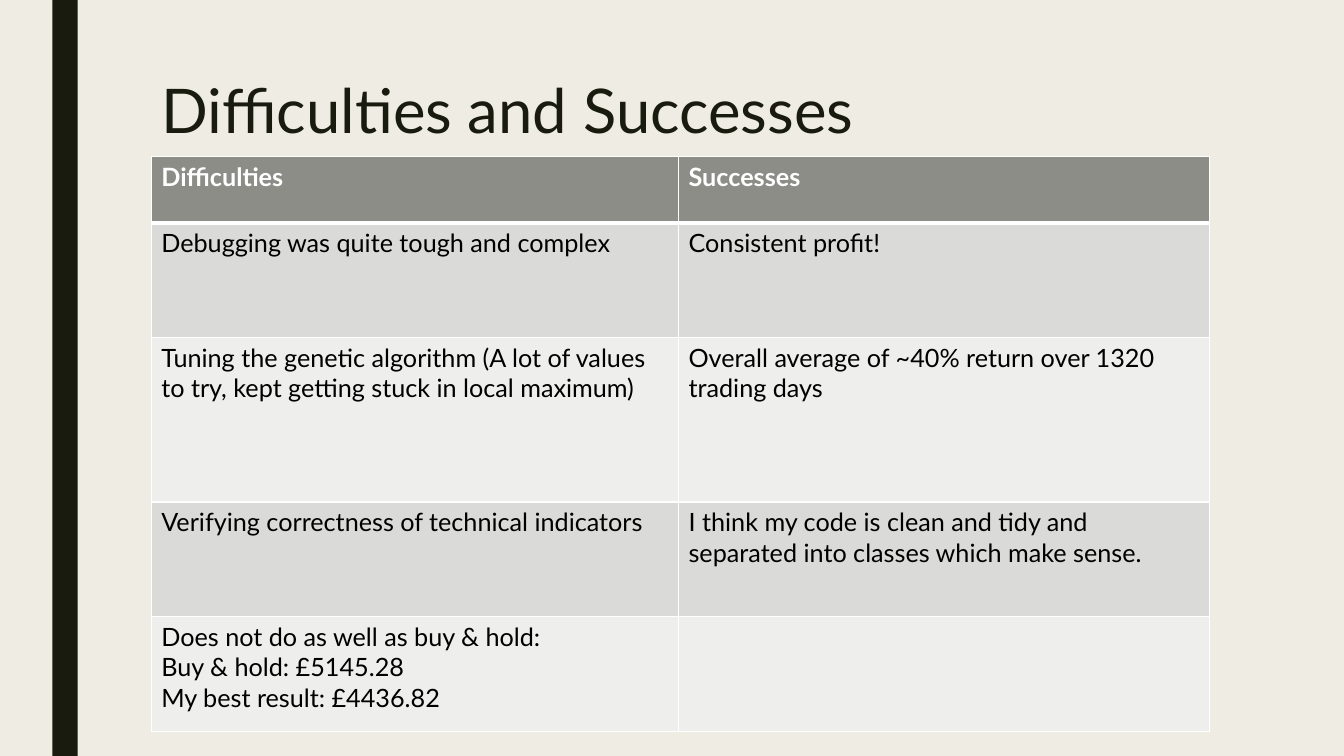
from lxml import etree
from pptx import Presentation
from pptx.dml.color import RGBColor
from pptx.enum.shapes import MSO_SHAPE
from pptx.enum.text import MSO_ANCHOR
from pptx.oxml.ns import qn
from pptx.util import Inches, Pt

RECTANGLE = MSO_SHAPE.RECTANGLE
TOP = MSO_ANCHOR.TOP

TITLE = "Difficulties and Successes"
ROWS = [
    ("Difficulties", "Successes"),
    ("Debugging was quite tough and complex", "Consistent profit!"),
    ("Tuning the genetic algorithm (A lot of values to try, kept getting stuck in local maximum)",
     "Overall average of ~40% return over 1320 trading days"),
    ("Verifying correctness of technical indicators",
     "I think my code is clean and tidy and separated into classes which make sense."),
    ("Does not do as well as buy & hold:\nBuy & hold: £5145.28\nMy best result: £4436.82", ""),
]
COLUMN_WIDTHS = [5.23, 5.27]
ROW_HEIGHTS = [0.66, 1.14, 1.63, 1.14, 1.14]
LEFT, TABLE_TOP = 1.5, 1.55

COLORS = {
    "background": "EFEDE3", "dark": "191B0E", "header": "8C8D86",
    "odd_row": "DADBD9", "even_row": "EEEEED", "white": "FFFFFF", "black": "000000",
}
TITLE_FONT = {"name": "Lato", "size": Pt(44), "bold": False}
HEADER_FONT = {"name": "Lato", "size": Pt(18), "bold": True}
BODY_FONT = {"name": "Lato", "size": Pt(18), "bold": False}


def paint(fill, color):
    fill.solid()
    fill.fore_color.rgb = RGBColor.from_string(COLORS[color])


def write(frame, text, font_format, color):
    frame.text = text
    for paragraph in frame.paragraphs:
        for attribute, value in font_format.items():
            setattr(paragraph.font, attribute, value)
        paragraph.font.color.rgb = RGBColor.from_string(COLORS[color])
        for run in paragraph.runs:
            for attribute, value in font_format.items():
                setattr(run.font, attribute, value)
            run.font.color.rgb = RGBColor.from_string(COLORS[color])


def add_borders(cell, widths):
    """Draw white cell edges; call before filling, as the schema puts lines first."""
    properties = cell._tc.get_or_add_tcPr()
    for side, points in widths.items():
        line = etree.SubElement(properties, qn(f"a:ln{side}"), w=str(Pt(points)))
        solid = etree.SubElement(line, qn("a:solidFill"))
        etree.SubElement(solid, qn("a:srgbClr"), val=COLORS["white"])


def add_title(slide):
    box = slide.shapes.add_textbox(Inches(LEFT), Inches(0.75), Inches(10.5), Inches(1.62))
    frame = box.text_frame
    frame.word_wrap = True
    frame.vertical_anchor = TOP
    write(frame, TITLE, TITLE_FONT, "dark")
    frame.paragraphs[0].line_spacing = 0.89


def add_comparison(slide):
    table = slide.shapes.add_table(
        len(ROWS), len(COLUMN_WIDTHS), Inches(LEFT), Inches(TABLE_TOP),
        Inches(sum(COLUMN_WIDTHS)), Inches(sum(ROW_HEIGHTS))).table
    for column, width in zip(table.columns, COLUMN_WIDTHS):
        column.width = Inches(width)
    for index, (row, height, texts) in enumerate(zip(table.rows, ROW_HEIGHTS, ROWS)):
        row.height = Inches(height)
        is_header = index == 0
        band = "header" if is_header else "odd_row" if index % 2 else "even_row"
        font_format = HEADER_FONT if is_header else BODY_FONT
        borders = {"L": 1, "R": 1, "T": 3 if index == 1 else 1, "B": 3 if is_header else 1}
        for cell, text in zip(row.cells, texts):
            add_borders(cell, borders)
            paint(cell.fill, band)
            write(cell.text_frame, text, font_format, "white" if is_header else "black")


def main():
    deck = Presentation()
    deck.slide_width, deck.slide_height = Inches(13.33), Inches(7.5)
    slide = deck.slides.add_slide(deck.slide_layouts[6])
    paint(slide.background.fill, "background")

    side_bar = slide.shapes.add_shape(RECTANGLE, Inches(0.52), 0, Inches(0.25), deck.slide_height)
    side_bar.shadow.inherit = False
    paint(side_bar.fill, "dark")
    side_bar.line.fill.background()

    add_title(slide)
    add_comparison(slide)
    deck.save("out.pptx")


if __name__ == "__main__":
    main()
